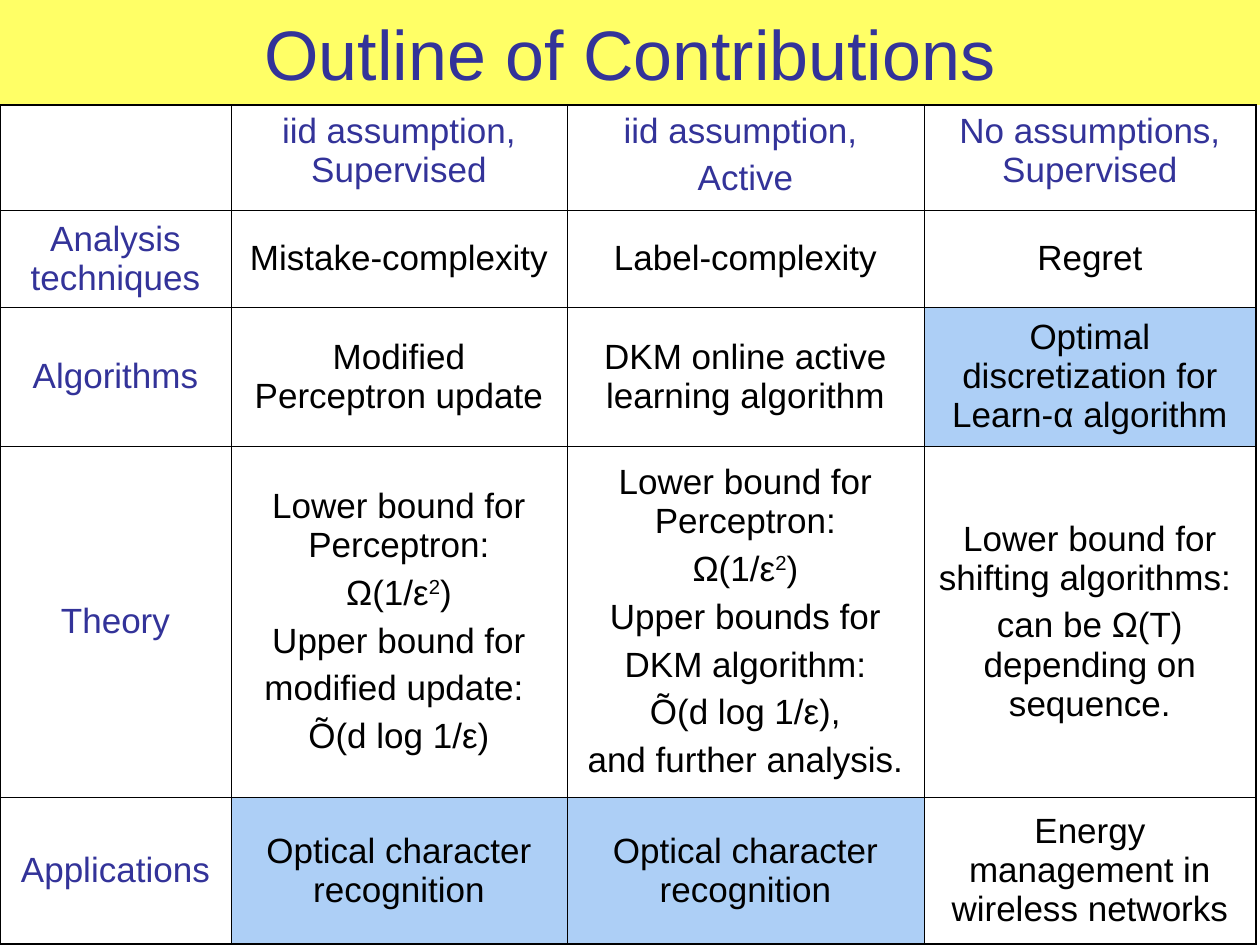
import pptx
import pptx.util
import pptx.dml.color
import pptx.enum.text
import pptx.oxml
import pptx.oxml.ns


class Theme:
    font = "Arial"
    title_size = 40
    body_size = 20
    gap = 5
    ink = "333399"
    text = "000000"
    band = "FFFF66"
    mark = "ADCFF6"
    white = "FFFFFF"
    line = "000000"
    thin = 0.45
    thick = 1.08


SCALE = 914400 / 126
WIDE, HIGH = 1260, 945
HEAD = 105
COLS = [231, 336, 357, 332]
ROWS = [105, 97, 139, 351, 147]

# "^" sets off superscripts.
CELLS = [
    [[],
     ["iid assumption, Supervised"],
     ["iid assumption, ", "Active"],
     ["No assumptions, Supervised"]],
    [["Analysis techniques"],
     ["Mistake-complexity"],
     ["Label-complexity"],
     ["Regret"]],
    [["Algorithms"],
     ["Modified Perceptron update"],
     ["DKM online active learning algorithm"],
     ["Optimal discretization for Learn-α algorithm"]],
    [["Theory"],
     ["Lower bound for Perceptron:", "Ω(1/ε^2^)", "Upper bound for",
      "modified update: ", "Õ(d log 1/ε)"],
     ["Lower bound for Perceptron:", "Ω(1/ε^2^)", "Upper bounds for",
      "DKM algorithm:", "Õ(d log 1/ε),", "and further analysis."],
     ["Lower bound for shifting algorithms: ",
      "can be Ω(T) depending on sequence."]],
    [["Applications"],
     ["Optical character recognition"],
     ["Optical character recognition"],
     ["Energy management in wireless networks"]],
]
MARKED = {(2, 3), (4, 1), (4, 2)}


def px(n):
    return pptx.util.Emu(round(n * SCALE))


def style(para, size, color):
    para.alignment = pptx.enum.text.PP_ALIGN.CENTER
    for run in para.runs:
        run.font.name = Theme.font
        run.font.size = pptx.util.Pt(size)
        run.font.color.rgb = pptx.dml.color.RGBColor.from_string(color)


deck = pptx.Presentation()
deck.slide_width, deck.slide_height = px(WIDE), px(HIGH)
slide = deck.slides.add_slide(deck.slide_layouts[5])

# Title band
title = slide.shapes.title
title.left, title.top, title.width, title.height = px(0), px(0), px(WIDE), px(HEAD)
title.fill.solid()
title.fill.fore_color.rgb = pptx.dml.color.RGBColor.from_string(Theme.band)
frame = title.text_frame
frame.text = "Outline of Contributions"
frame.auto_size = pptx.enum.text.MSO_AUTO_SIZE.NONE
frame.vertical_anchor = pptx.enum.text.MSO_ANCHOR.MIDDLE
style(frame.paragraphs[0], Theme.title_size, Theme.ink)

# Table grid
table = slide.shapes.add_table(
    len(ROWS), len(COLS), px(0), px(HEAD), px(sum(COLS)), px(sum(ROWS))).table
for col, width in zip(table.columns, COLS):
    col.width = px(width)
for row, height in zip(table.rows, ROWS):
    row.height = px(height)

# Cell text, fills and borders
for r, row in enumerate(CELLS):
    for c, lines in enumerate(row):
        cell = table.cell(r, c)
        if r > 0:
            cell.vertical_anchor = pptx.enum.text.MSO_ANCHOR.MIDDLE
        cell.fill.solid()
        fill = Theme.mark if (r, c) in MARKED else Theme.white
        cell.fill.fore_color.rgb = pptx.dml.color.RGBColor.from_string(fill)

        color = Theme.ink if r == 0 or c == 0 else Theme.text
        for n, line in enumerate(lines):
            para = cell.text_frame.paragraphs[0]
            if n > 0:
                para = cell.text_frame.add_paragraph()
                para.space_before = pptx.util.Pt(Theme.gap)
            for k, part in enumerate(line.split("^")):
                run = para.add_run()
                run.text = part
                if k % 2:
                    run.font._element.set("baseline", "30000")
            style(para, Theme.body_size, color)

        edges = {"lnL": c == 0, "lnR": c == len(COLS) - 1,
                 "lnT": r == 0, "lnB": r == len(ROWS) - 1}
        props = cell._tc.get_or_add_tcPr()
        for n, (tag, outer) in enumerate(edges.items()):
            width = pptx.util.Pt(Theme.thick if outer else Theme.thin)
            props.insert(n, pptx.oxml.parse_xml(
                f'<a:{tag} {pptx.oxml.ns.nsdecls("a")} w="{width}"><a:solidFill>'
                f'<a:srgbClr val="{Theme.line}"/></a:solidFill></a:{tag}>'))

deck.save("out.pptx")
